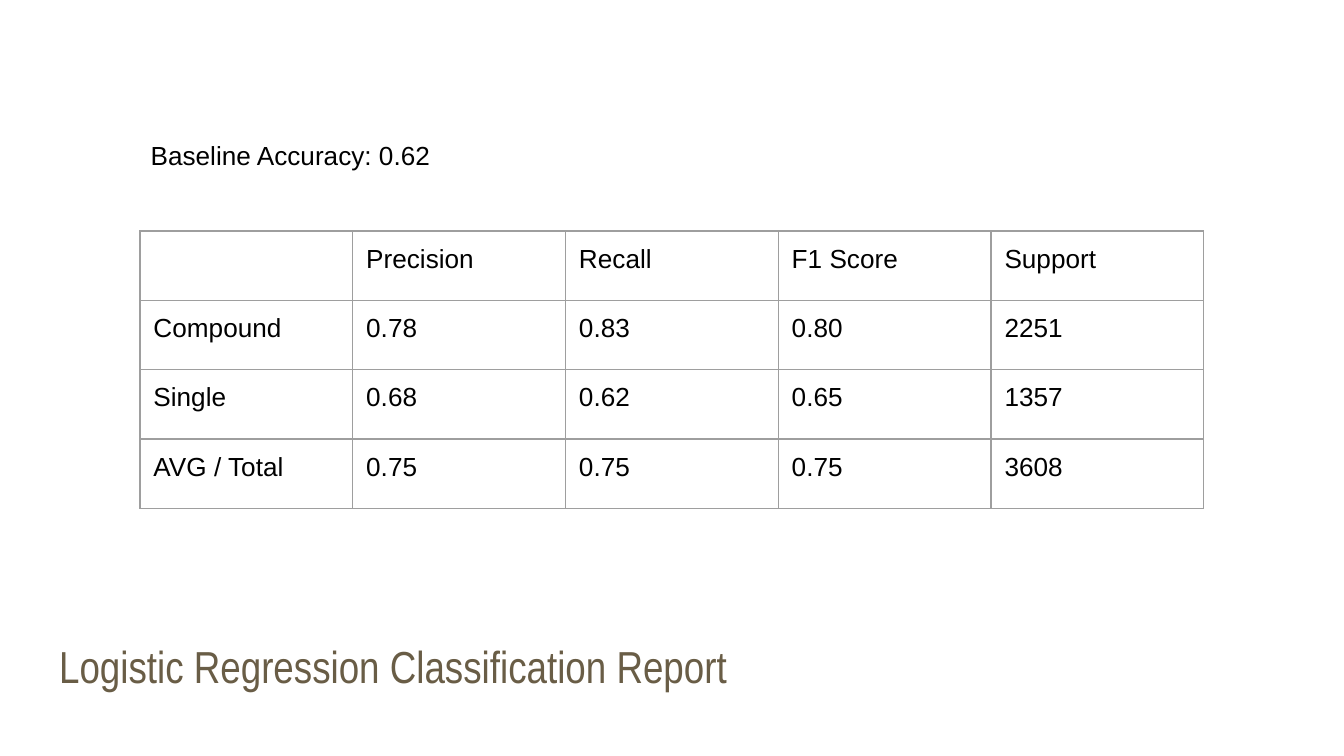
from dataclasses import dataclass

from lxml import etree
from pptx import Presentation
from pptx import util as u
from pptx.dml import color as c
from pptx.enum import text as t
from pptx.oxml import ns

SCALE = 1905  # EMU per px, 480 px to the inch
WIDTH, HEIGHT = 4800, 2700
PAD = 48


@dataclass(frozen=True)
class Font:
    name: str
    size: int
    color: str


@dataclass(frozen=True)
class Theme:
    title: Font = Font("Arial Narrow", 24, "695D46")
    body: Font = Font("Arial", 14, "000000")
    back: str = "FFFFFF"
    rule: str = "9E9E9E"
    rule_width: float = 0.75


@dataclass(frozen=True)
class Label:
    words: str
    left: int
    top: int
    width: int
    height: int
    font: Font
    anchor: t.MSO_ANCHOR


THEME = Theme()

TITLE = Label("Logistic Regression Classification Report", 164, 2222, 4176, 312,
              THEME.title, t.MSO_ANCHOR.MIDDLE)
NOTE = Label("Baseline Accuracy: 0.62", 491, 451, 1531, 187,
             THEME.body, t.MSO_ANCHOR.TOP)

LEFT, TOP, COL = 500, 825, 760
ROWS = [248, 247, 248, 247]
SCORES = [
    ["", "Precision", "Recall", "F1 Score", "Support"],
    ["Compound", "0.78", "0.83", "0.80", "2251"],
    ["Single", "0.68", "0.62", "0.65", "1357"],
    ["AVG / Total", "0.75", "0.75", "0.75", "3608"],
]


def px(count: int) -> u.Emu:
    return u.Emu(count * SCALE)


def write(frame, words: str, font: Font) -> None:
    run = frame.paragraphs[0].add_run()
    run.text = words
    run.font.name = font.name
    run.font.size = u.Pt(font.size)
    run.font.color.rgb = c.RGBColor.from_string(font.color)


def pad(box) -> None:
    """Give a text frame or a table cell equal margins."""
    box.margin_left = box.margin_right = px(PAD)
    box.margin_top = box.margin_bottom = px(PAD)


def add_label(slide, label: Label) -> None:
    box = slide.shapes.add_textbox(px(label.left), px(label.top),
                                   px(label.width), px(label.height))
    frame = box.text_frame
    frame.word_wrap = True
    frame.vertical_anchor = label.anchor
    pad(frame)
    write(frame, label.words, label.font)


def rule_cell(cell) -> None:
    """Draw the four borders, which come before the fill in the XML."""
    props = cell._tc.get_or_add_tcPr()
    for spot, side in enumerate(("lnL", "lnR", "lnT", "lnB")):
        line = etree.Element(ns.qn(f"a:{side}"), w=str(u.Pt(THEME.rule_width)))
        fill = etree.SubElement(line, ns.qn("a:solidFill"))
        etree.SubElement(fill, ns.qn("a:srgbClr"), val=THEME.rule)
        props.insert(spot, line)


def add_scores(slide) -> None:
    cols = len(SCORES[0])
    frame = slide.shapes.add_table(len(SCORES), cols, px(LEFT), px(TOP),
                                   px(COL * cols), px(sum(ROWS)))
    table = frame.table
    table.first_row = table.horz_banding = False
    for col in table.columns:
        col.width = px(COL)
    for row, height, words in zip(table.rows, ROWS, SCORES):
        row.height = px(height)
        for cell, word in zip(row.cells, words):
            pad(cell)
            cell.fill.background()
            rule_cell(cell)
            if word:
                write(cell.text_frame, word, THEME.body)


def main() -> None:
    deck = Presentation()
    deck.slide_width, deck.slide_height = px(WIDTH), px(HEIGHT)
    slide = deck.slides.add_slide(deck.slide_layouts[6])
    slide.background.fill.solid()
    slide.background.fill.fore_color.rgb = c.RGBColor.from_string(THEME.back)

    # Title, score table and baseline note, from back to front
    add_label(slide, TITLE)
    add_scores(slide)
    add_label(slide, NOTE)

    deck.save("out.pptx")


if __name__ == "__main__":
    main()
